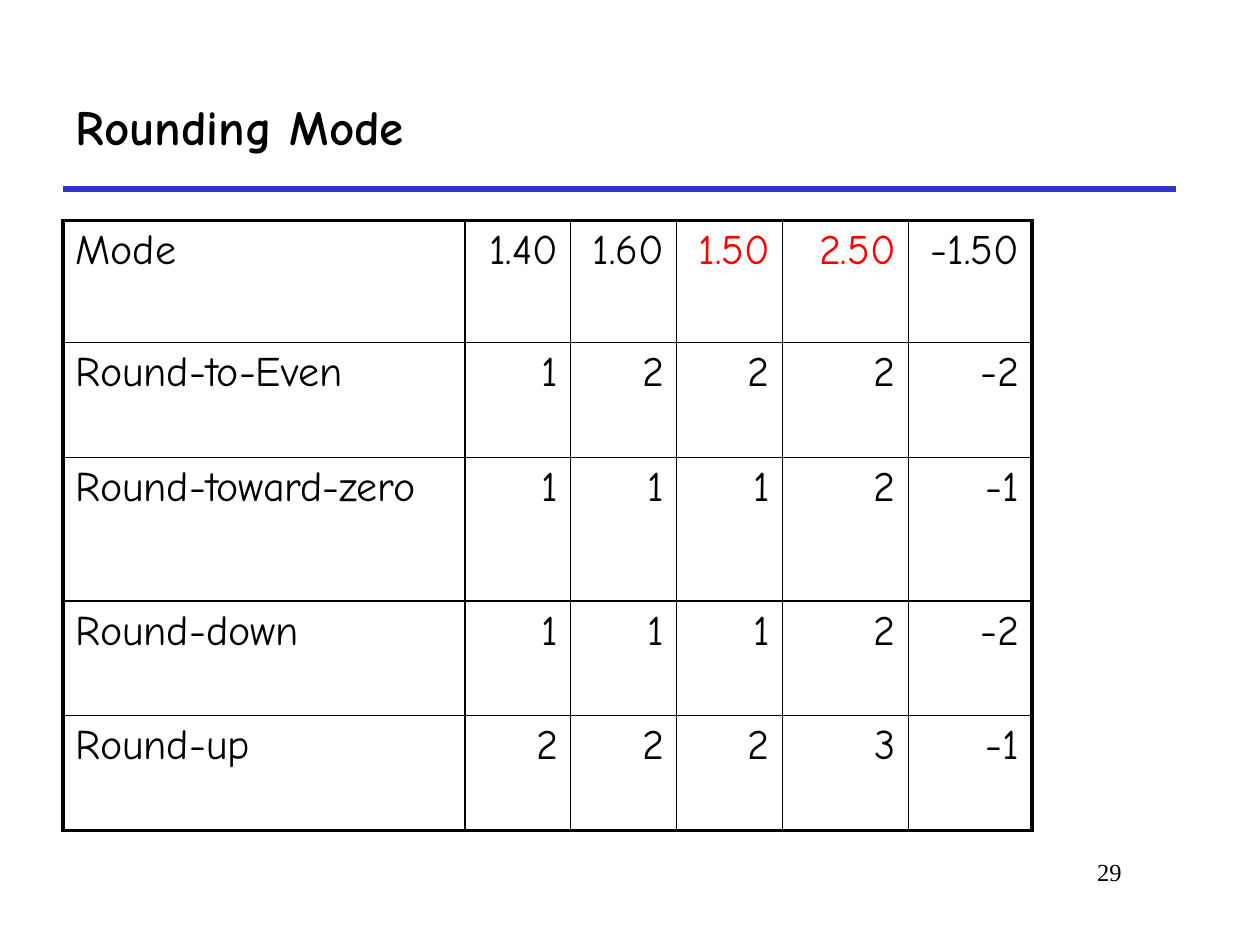
from lxml.etree import SubElement
from pptx import Presentation
from pptx.dml.color import RGBColor
from pptx.enum.shapes import MSO_CONNECTOR
from pptx.enum.text import MSO_ANCHOR, PP_ALIGN
from pptx.oxml.ns import qn
from pptx.util import Inches, Pt

TITLE = "Rounding Mode"
PAGE = "29"
ROWS = [
    ["Mode", "1.40", "1.60", "1.50", "2.50", "-1.50"],
    ["Round-to-Even", "1", "2", "2", "2", "-2"],
    ["Round-toward-zero", "1", "1", "1", "2", "-1"],
    ["Round-down", "1", "1", "1", "2", "-2"],
    ["Round-up", "2", "2", "2", "3", "-1"],
]
HALFWAY = {"1.50", "2.50"}
COL_WIDTHS = [3.19, 0.84, 0.84, 0.84, 1, 0.98]
ROW_HEIGHTS = [0.97, 0.91, 1.14, 0.91, 0.91]
LEFT, TOP, WIDTH = 0.5, 1.75, 8.83
BLACK, RED, BLUE = "000000", "FF0000", "3333CC"
FONT, PAGE_FONT = "Comic Neue", "Times New Roman"
INNER, OUTER = 1, 2.25


def rgb(value):
    return RGBColor.from_string(value)


def write(tf, text, size, align, font=FONT, color=BLACK, bold=False):
    p = tf.paragraphs[0]
    p.alignment = align
    p.space_before = Pt(0)
    r = p.add_run()
    r.text = text
    r.font.name = font
    r.font.size = Pt(size)
    r.font.bold = bold
    r.font.color.rgb = rgb(color)


def set_borders(cell, widths):
    tc_pr = cell._tc.get_or_add_tcPr()
    for side, width in widths.items():
        ln = SubElement(tc_pr, qn(f"a:ln{side}"), w=str(Pt(width)))
        fill = SubElement(ln, qn("a:solidFill"))
        SubElement(fill, qn("a:srgbClr"), val=BLACK)


prs = Presentation()
prs.slide_width, prs.slide_height = Inches(10), Inches(7.5)
s = prs.slides.add_slide(prs.slide_layouts[5])

line = s.shapes.add_connector(
    MSO_CONNECTOR.STRAIGHT, Inches(LEFT), Inches(1.5), Inches(LEFT + WIDTH), Inches(1.5)
)
line.line.color.rgb = rgb(BLUE)
line.line.width = Pt(3)
SubElement(line._element.spPr, qn("a:effectLst"))

title = s.shapes.title
title.left, title.top = Inches(LEFT), Inches(0.5)
title.width, title.height = Inches(WIDTH), Inches(1)
title.text_frame.vertical_anchor = MSO_ANCHOR.MIDDLE
write(title.text_frame, TITLE, 28, PP_ALIGN.LEFT, bold=True)

page = s.shapes.add_textbox(Inches(7.58), Inches(6.75), Inches(1.42), Inches(0.5))
page.text_frame.word_wrap = True
write(page.text_frame, PAGE, 14, PP_ALIGN.RIGHT, PAGE_FONT)

n_rows, n_cols = len(ROWS), len(COL_WIDTHS)
frame = s.shapes.add_table(
    n_rows, n_cols, Inches(LEFT), Inches(TOP),
    Inches(sum(COL_WIDTHS)), Inches(sum(ROW_HEIGHTS)),
)
table = frame.table
table.first_row = table.horz_banding = False
for column, width in zip(table.columns, COL_WIDTHS):
    column.width = Inches(width)
for row, height in zip(table.rows, ROW_HEIGHTS):
    row.height = Inches(height)

for i, values in enumerate(ROWS):
    for j, text in enumerate(values):
        cell = table.cell(i, j)
        edges = {"L": j == 0, "R": j == n_cols - 1, "T": i == 0, "B": i == n_rows - 1}
        set_borders(cell, {side: OUTER if edge else INNER for side, edge in edges.items()})
        cell.fill.background()
        align = PP_ALIGN.RIGHT if j else PP_ALIGN.LEFT
        write(cell.text_frame, text, 24, align, color=RED if text in HALFWAY else BLACK)

prs.save("out.pptx")
